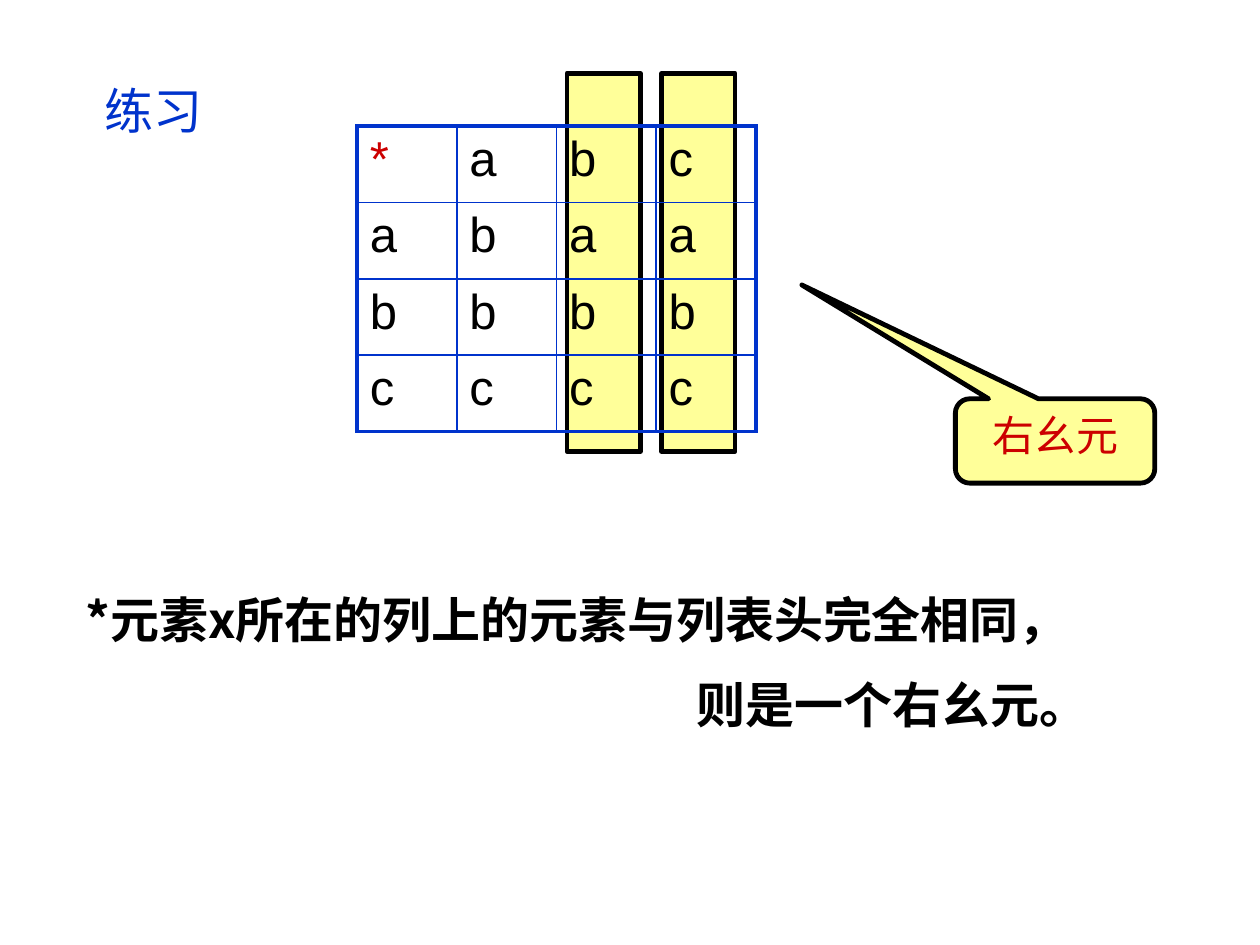
from dataclasses import dataclass

import pptx
import pptx.dml.color
import pptx.enum.shapes
import pptx.enum.text
import pptx.oxml
import pptx.oxml.ns
import pptx.util
from pptx.util import Cm, Pt


@dataclass(frozen=True)
class Theme:
    blue: str = "0033CC"
    red: str = "CC0000"
    black: str = "000000"
    yellow: str = "FFFF99"
    latin_font: str = "Arial"
    chinese_font: str = "Noto Sans CJK JP"
    body_size: float = 28
    callout_size: float = 24
    outline: float = 2.75
    outer_border: float = 2.25
    inner_border: float = 1


@dataclass(frozen=True)
class Box:
    left: float
    top: float
    width: float
    height: float

    def lengths(self) -> tuple:
        return Cm(self.left), Cm(self.top), Cm(self.width), Cm(self.height)


THEME = Theme()
TITLE = Box(1.85, 1.5, 2.49, 1.45)
COLUMN_HIGHLIGHTS = [Box(left, 1.48, 1.48, 7.62) for left in (13.34, 11.43)]
OPERATION_TABLE = Box(7.2, 2.54, 8.04, 6.16)
CALLOUT = Box(19.26, 8.04, 4.02, 1.7)
CALLOUT_ADJUSTMENTS = (-1.27, -1.85, 0.17)
CONCLUSION = Box(1.48, 11.22, 22.86, 3.68)
CONCLUSION_LINES = (
    ("*元素x所在的列上的元素与列表头完全相同，", 0),
    ("则是一个右幺元。", 12.32),
)
OPERATION_ROWS = ("*abc", "abaa", "bbbb", "cccc")


def color(value: str) -> pptx.dml.color.RGBColor:
    return pptx.dml.color.RGBColor.from_string(value)


def style_font(paragraph, size: float, ink: str, name: str = THEME.latin_font,
               bold: bool = False) -> None:
    font = paragraph.font
    font.name, font.size, font.bold = name, Pt(size), bold
    font.color.rgb = color(ink)


def add_yellow_shape(slide, kind, box: Box):
    shape = slide.shapes.add_shape(kind, *box.lengths())
    shape.shadow.inherit = False
    shape.fill.solid()
    shape.fill.fore_color.rgb = color(THEME.yellow)
    shape.line.color.rgb = color(THEME.black)
    shape.line.width = Pt(THEME.outline)
    return shape


def set_cell_borders(cell, widths: dict[str, float]) -> None:
    properties = cell._tc.get_or_add_tcPr()
    for side, width in widths.items():
        properties.append(pptx.oxml.parse_xml(
            f'<a:ln{side} {pptx.oxml.ns.nsdecls("a")} w="{int(Pt(width))}">'
            f'<a:solidFill><a:srgbClr val="{THEME.blue}"/></a:solidFill>'
            f'</a:ln{side}>'))


def add_operation_table(slide, box: Box, rows: tuple[str, ...]) -> None:
    count = len(rows)
    last = count - 1
    table = slide.shapes.add_table(count, count, *box.lengths()).table
    table.first_row = table.horz_banding = False
    for index in range(count):
        table.columns[index].width = Cm(box.width / count)
        table.rows[index].height = Cm(box.height / count)
    for row, symbols in enumerate(rows):
        for column, symbol in enumerate(symbols):
            cell = table.cell(row, column)
            on_edge = {"L": column == 0, "R": column == last,
                       "T": row == 0, "B": row == last}
            set_cell_borders(cell, {
                side: THEME.outer_border if edge else THEME.inner_border
                for side, edge in on_edge.items()})
            cell.fill.background()
            cell.text = symbol
            style_font(cell.text_frame.paragraphs[0], THEME.body_size,
                       THEME.red if symbol == "*" else THEME.black)


def add_title(slide, box: Box, text: str) -> None:
    frame = slide.shapes.add_textbox(*box.lengths()).text_frame
    frame.word_wrap = False
    frame.text = text
    style_font(frame.paragraphs[0], THEME.body_size, THEME.blue)


def add_callout(slide, box: Box, text: str) -> None:
    callout = add_yellow_shape(
        slide, pptx.enum.shapes.MSO_SHAPE.ROUNDED_RECTANGULAR_CALLOUT, box)
    for index, value in enumerate(CALLOUT_ADJUSTMENTS):
        callout.adjustments[index] = value
    frame = callout.text_frame
    frame.text = text
    frame.vertical_anchor = pptx.enum.text.MSO_ANCHOR.TOP
    paragraph = frame.paragraphs[0]
    paragraph.alignment = pptx.enum.text.PP_ALIGN.CENTER
    style_font(paragraph, THEME.callout_size, THEME.red)


def add_conclusion(slide, box: Box, lines: tuple[tuple[str, float], ...]) -> None:
    frame = slide.shapes.add_textbox(*box.lengths()).text_frame
    frame.word_wrap = True
    frame.text = "\n".join(text for text, _ in lines)
    for paragraph, (_, indent) in zip(frame.paragraphs, lines):
        paragraph.line_spacing = 1.45
        paragraph._p.get_or_add_pPr().set("marL", str(int(Cm(indent))))
        style_font(paragraph, THEME.body_size, THEME.black, THEME.chinese_font, True)
        defaults = paragraph._p.pPr.find(pptx.oxml.ns.qn("a:defRPr"))
        defaults.append(pptx.oxml.parse_xml(
            f'<a:ea {pptx.oxml.ns.nsdecls("a")} typeface="{THEME.chinese_font}"/>'))


def main() -> None:
    presentation = pptx.Presentation()
    presentation.slide_width = Cm(25.4)
    presentation.slide_height = Cm(19.05)
    slide = presentation.slides.add_slide(presentation.slide_layouts[6])
    for box in COLUMN_HIGHLIGHTS:
        add_yellow_shape(slide, pptx.enum.shapes.MSO_SHAPE.RECTANGLE, box)
    add_title(slide, TITLE, "练习")
    add_operation_table(slide, OPERATION_TABLE, OPERATION_ROWS)
    add_callout(slide, CALLOUT, "右幺元")
    add_conclusion(slide, CONCLUSION, CONCLUSION_LINES)
    presentation.save("out.pptx")


if __name__ == "__main__":
    main()
